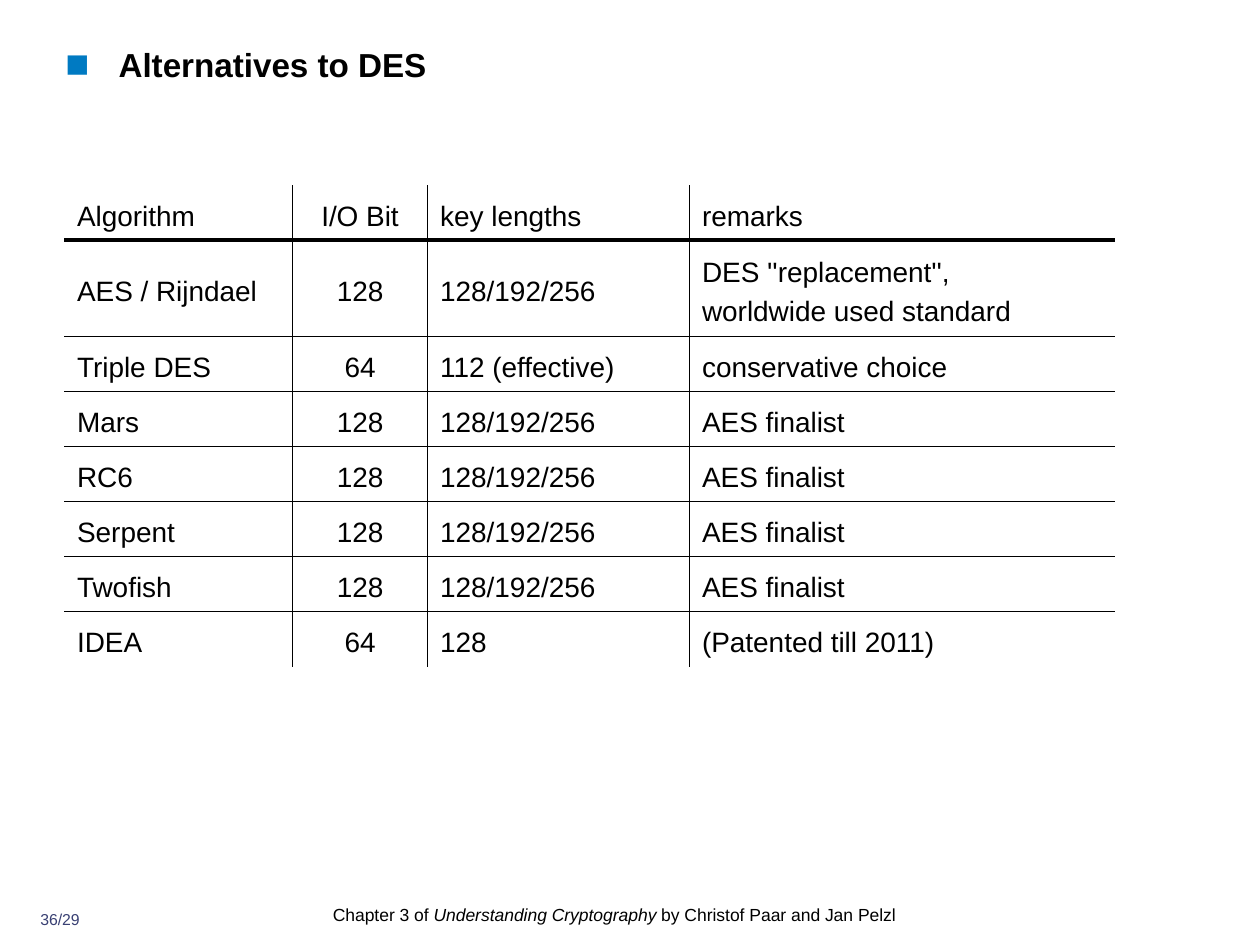
from lxml import etree
from pptx import Presentation
from pptx import util as u
from pptx.dml.color import RGBColor
from pptx.enum import text
from pptx.oxml import ns

BLACK, BLUE, VIOLET = "000000", "007AC2", "394073"
LEFT, CENTER = text.PP_ALIGN.LEFT, text.PP_ALIGN.CENTER


def colour(code):
    return RGBColor.from_string(code)


def add_xml(parent, tag, **attributes):
    return etree.SubElement(parent, ns.qn(tag), attributes)


def write(para, content, font="Arial", size=16, color=BLACK, bold=False,
          italic=False, align=LEFT, spacing=1.0):
    """Append formatted text; a newline becomes a line break."""
    para.alignment, para.line_spacing = align, spacing
    for number, line in enumerate(content.split("\n")):
        if number:
            para.add_line_break()
        span = para.add_run()
        span.text = line
        span.font.name, span.font.size = font, u.Pt(size)
        span.font.bold, span.font.italic = bold, italic
        span.font.color.rgb = colour(color)


class SlideBuilder:
    def __init__(self, deck):
        self.page = deck.slides.add_slide(deck.slide_layouts[5])

    def place(self, box, left, top, width, height):
        box.left, box.top = u.Cm(left), u.Cm(top)
        box.width, box.height = u.Cm(width), u.Cm(height)

    def clear_frame(self, box):
        frame = box.text_frame
        frame.margin_left = frame.margin_right = 0
        frame.margin_top = frame.margin_bottom = 0
        frame.vertical_anchor = text.MSO_ANCHOR.TOP
        frame.auto_size = text.MSO_AUTO_SIZE.NONE
        frame.word_wrap = True
        return frame.paragraphs[0]

    def title(self, content, *area):
        box = self.page.shapes.title
        self.place(box, *area)
        para = self.clear_frame(box)
        props = para._p.get_or_add_pPr()
        indent = u.Cm(1.07)
        props.set("marL", str(indent))
        props.set("indent", str(-indent))
        add_xml(add_xml(props, "a:buClr"), "a:srgbClr", val=BLUE)
        add_xml(props, "a:buSzPct", val="120000")
        add_xml(props, "a:buFont", typeface="Arial")
        add_xml(props, "a:buChar", char="■")
        write(para, content, size=19, bold=True)

    def label(self, spans, *area, **style):
        box = self.page.shapes.add_textbox(*map(u.Cm, area))
        para = self.clear_frame(box)
        for content, italic in spans:
            write(para, content, italic=italic, **style)

    def border(self, cell, side, points):
        props = cell._tc.get_or_add_tcPr()
        line = add_xml(props, f"a:ln{side}", w=str(u.Pt(points)))
        if points:
            add_xml(add_xml(line, "a:solidFill"), "a:srgbClr", val=BLACK)
        else:
            add_xml(line, "a:noFill")

    def table(self, rows, left, top, widths, heights, aligns):
        shape = self.page.shapes.add_table(
            len(rows), len(widths), u.Cm(left), u.Cm(top),
            u.Cm(sum(widths)), u.Cm(sum(heights)))
        grid = shape.table
        grid.first_row = grid.horz_banding = False
        for column, width in zip(grid.columns, widths):
            column.width = u.Cm(width)
        # Inner rules only, with a heavy one below the header
        across = [0, 2.25] + [1] * (len(rows) - 2) + [0]
        down = [0] + [1] * (len(widths) - 1) + [0]
        for r, values in enumerate(rows):
            grid.rows[r].height = u.Cm(heights[r])
            for c, value in enumerate(values):
                cell = grid.cell(r, c)
                cell.vertical_anchor = text.MSO_ANCHOR.MIDDLE
                for side, points in (("L", down[c]), ("R", down[c + 1]),
                                     ("T", across[r]), ("B", across[r + 1])):
                    self.border(cell, side, points)
                cell.fill.background()
                write(cell.text_frame.paragraphs[0], value,
                      align=aligns[c], spacing=1.25)


def main():
    deck = Presentation()
    deck.slide_width, deck.slide_height = u.Cm(25.4), u.Cm(19.05)
    slide = SlideBuilder(deck)

    # Page number and footer
    slide.label([("36/29", False)], 0.51, 18.34, 1.4, 0.61,
                size=9, color=VIOLET, align=CENTER)
    slide.label([("Chapter 3 of ", False),
                 ("Understanding Cryptography", True),
                 (" by Christof Paar and Jan Pelzl", False)],
                6.71, 18.14, 12.01, 0.71, size=10, spacing=1.2)

    # Title
    slide.title("Alternatives to DES", 1.32, 0.89, 17.96, 1.42)

    # Cipher comparison
    key_sizes, finalist = "128/192/256", "AES finalist"
    rows = [
        ("Algorithm", "I/O Bit", "key lengths", "remarks"),
        ("AES / Rijndael", "128", key_sizes,
         "DES ''replacement'', \nworldwide used standard"),
        ("Triple DES", "64", "112 (effective)", "conservative choice"),
        *[(name, "128", key_sizes, finalist)
          for name in ("Mars", "RC6", "Serpent", "Twofish")],
        ("IDEA", "64", "128", "(Patented till 2011)"),
    ]
    heights = [1.11, 1.94] + [1.11] * (len(rows) - 2)
    slide.table(rows, 1.3, 3.73, [4.6, 2.72, 5.28, 8.58], heights,
                [LEFT, CENTER, LEFT, LEFT])

    deck.save("out.pptx")


if __name__ == "__main__":
    main()
